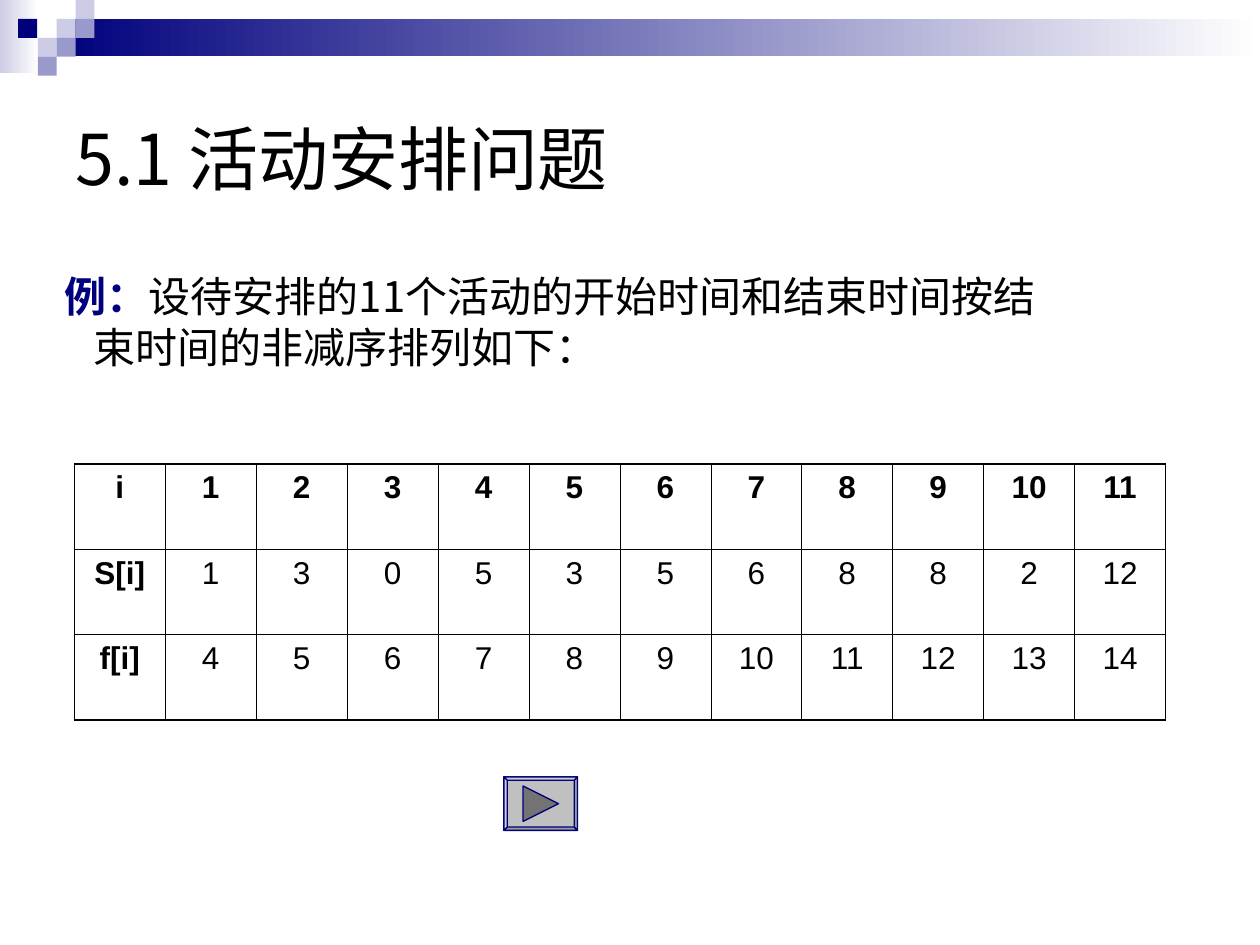
from lxml.etree import SubElement
from pptx import Presentation
from pptx.dml.color import RGBColor
from pptx.enum.shapes import MSO_SHAPE
from pptx.enum.text import MSO_ANCHOR, PP_ALIGN
from pptx.oxml.ns import qn
from pptx.util import Pt

COLORS = {
    "black": "000000",
    "white": "FFFFFF",
    "navy": "00007D",
    "lavender": "CCCCE6",
    "violet": "9999CC",
    "button": "C0C0C0",
    "bevel_light": "CDCDCD",
    "bevel_dark": "9A9A9A",
    "arrow": "737373",
}
CHINESE_FONT = "Noto Sans CJK SC"
TABLE_FONT = "Arial"
SQUARE = 10.8
SQUARES = [
    (32.4, 10.8, "lavender"),
    (43.2, 0, "lavender"),
    (43.2, 10.8, "violet"),
    (21.6, 21.6, "lavender"),
    (10.4, 10.8, "navy"),
    (32.4, 21.6, "violet"),
    (21.6, 32.4, "violet"),
]
ACTIVITIES = [
    ["i", *range(1, 12)],
    ["S[i]", 1, 3, 0, 5, 3, 5, 6, 8, 8, 2, 12],
    ["f[i]", 4, 5, 6, 7, 8, 9, 10, 11, 12, 13, 14],
]


def color(name):
    return RGBColor.from_string(COLORS[name])


def add_run(paragraph, text, size, font_name, color_name="black", bold=False):
    run = paragraph.add_run()
    run.text = text
    run.font.size = Pt(size)
    run.font.name = font_name
    run.font.bold = bold
    run.font.color.rgb = color(color_name)
    properties = run.font._element
    SubElement(properties, qn("a:ea")).set("typeface", font_name)


def add_block(slide, left, top, width, height, color_name, fade=False):
    shape = slide.shapes.add_shape(
        MSO_SHAPE.RECTANGLE, Pt(left), Pt(top), Pt(width), Pt(height))
    shape.shadow.inherit = False
    shape.line.fill.background()
    if fade:
        shape.fill.gradient()
        shape.fill.gradient_angle = 0
        for stop, name, position in zip(
                shape.fill.gradient_stops, (color_name, "white"), (0, 1)):
            stop.color.rgb = color(name)
            stop.position = position
    else:
        shape.fill.solid()
        shape.fill.fore_color.rgb = color(color_name)


def add_decoration(slide):
    add_block(slide, 0, 0, 22, 41.75, "lavender", fade=True)
    add_block(slide, 32.4, 10.8, 687.6, 21.4, "navy", fade=True)
    for left, top, color_name in SQUARES:
        add_block(slide, left, top, SQUARE, SQUARE, color_name)


def add_title(slide, text):
    title = slide.shapes.title
    title.left, title.top, title.width, title.height = Pt(36), Pt(36), Pt(648), Pt(108)
    title.text_frame.vertical_anchor = MSO_ANCHOR.MIDDLE
    paragraph = title.text_frame.paragraphs[0]
    paragraph.alignment = PP_ALIGN.LEFT
    add_run(paragraph, text, 40, CHINESE_FONT)


def add_example(slide, label, text):
    box = slide.shapes.add_textbox(Pt(19.5), Pt(151.2), Pt(595.5), Pt(85.7))
    box.text_frame.word_wrap = True
    paragraph = box.text_frame.paragraphs[0]
    properties = paragraph._p.get_or_add_pPr()
    properties.set("marL", str(Pt(27)))
    properties.set("indent", str(Pt(-16.5)))
    add_run(paragraph, label, 24, CHINESE_FONT, "navy", bold=True)
    add_run(paragraph, text, 24, CHINESE_FONT)


def set_borders(cell, widths):
    properties = cell._tc.get_or_add_tcPr()
    for position, (side, width) in enumerate(widths.items()):
        line = SubElement(properties, qn(f"a:ln{side}"), w=str(Pt(width)))
        fill = SubElement(line, qn("a:solidFill"))
        SubElement(fill, qn("a:srgbClr"), val=COLORS["black"])
        properties.insert(position, line)


def add_activity_table(slide, rows):
    row_count, column_count = len(rows), len(rows[0])
    table = slide.shapes.add_table(
        row_count, column_count, Pt(42.5), Pt(265), Pt(623.52), Pt(146.4)).table
    table.first_row = False
    table.horz_banding = False
    for row_index, row in enumerate(rows):
        for column_index, value in enumerate(row):
            cell = table.cell(row_index, column_index)
            cell.fill.background()
            outer = {
                "L": column_index == 0,
                "R": column_index == column_count - 1,
                "T": row_index == 0,
                "B": row_index == row_count - 1,
            }
            set_borders(cell, {side: 1.08 if edge else 0.45 for side, edge in outer.items()})
            paragraph = cell.text_frame.paragraphs[0]
            paragraph.alignment = PP_ALIGN.CENTER
            add_run(paragraph, str(value), 18, TABLE_FONT, bold=outer["T"] or outer["L"])


def add_polygon(slide, points, color_name):
    (start_x, start_y), *others = points
    builder = slide.shapes.build_freeform(Pt(start_x), Pt(start_y), scale=1.0)
    builder.add_line_segments([(Pt(x), Pt(y)) for x, y in others], close=True)
    shape = builder.convert_to_shape()
    shape.shadow.inherit = False
    shape.fill.solid()
    shape.fill.fore_color.rgb = color(color_name)
    shape.line.color.rgb = color("navy")
    shape.line.width = Pt(0.75)


def rectangle_corners(left, top, right, bottom):
    return [(left, top), (right, top), (right, bottom), (left, bottom)]


def add_next_button(slide, left, top, width, height, bevel):
    right, bottom = left + width, top + height
    outer = rectangle_corners(left, top, right, bottom)
    inner = rectangle_corners(left + bevel, top + bevel, right - bevel, bottom - bevel)
    add_polygon(slide, outer, "button")
    shades = ["bevel_light", "bevel_dark", "bevel_dark", "bevel_light"]
    for side, shade in enumerate(shades):
        following = (side + 1) % 4
        add_polygon(
            slide, [outer[side], outer[following], inner[following], inner[side]], shade)
    center_x, center_y, reach = left + width / 2, top + height / 2, 10.1
    add_polygon(slide, [
        (center_x - reach, center_y - reach),
        (center_x + reach, center_y),
        (center_x - reach, center_y + reach),
    ], "arrow")


def main():
    presentation = Presentation()
    presentation.slide_width, presentation.slide_height = Pt(720), Pt(540)
    slide = presentation.slides.add_slide(presentation.slide_layouts[5])
    add_decoration(slide)
    add_title(slide, "5.1 活动安排问题")
    add_example(slide, "例：", "设待安排的11个活动的开始时间和结束时间按结束时间的非减序排列如下：")
    add_activity_table(slide, ACTIVITIES)
    add_next_button(slide, 288, 444, 42, 30.5, 1.9)
    presentation.save("out.pptx")


if __name__ == "__main__":
    main()
